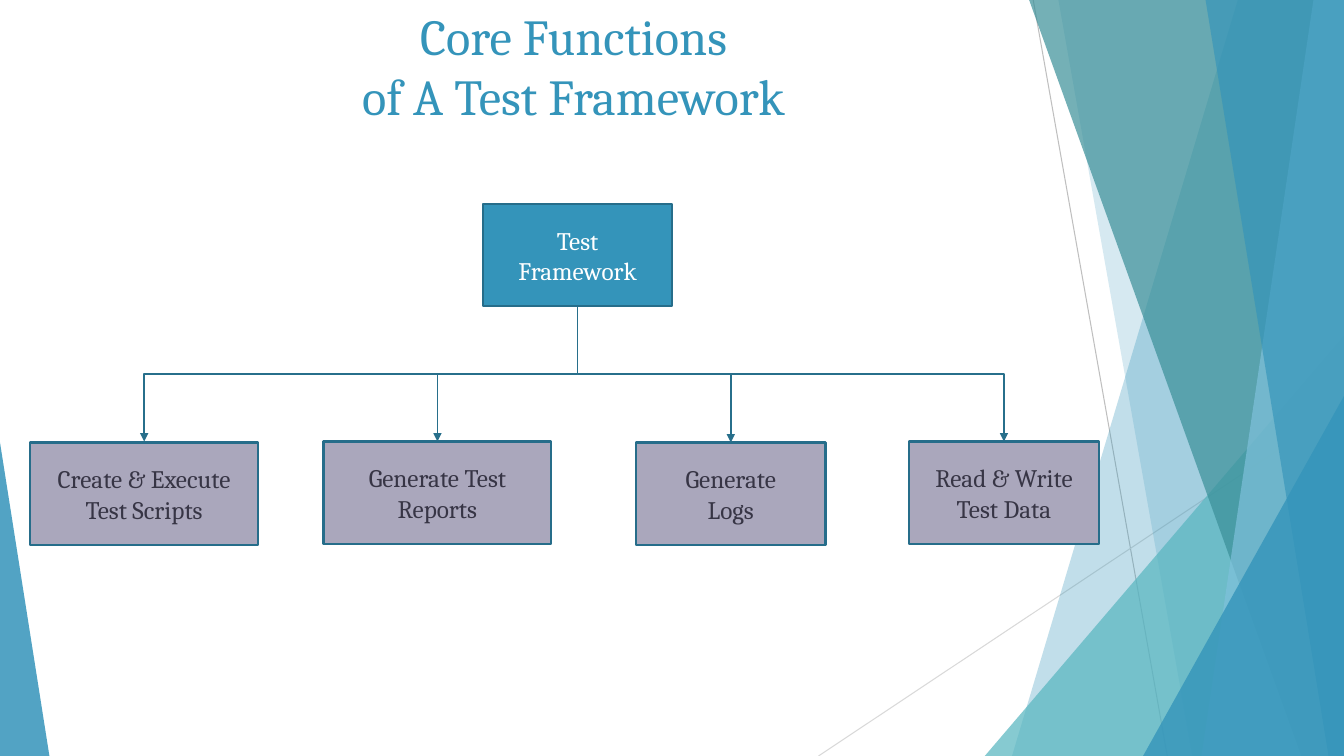
from dataclasses import dataclass

from lxml import etree
from pptx import Presentation
from pptx import util as u
from pptx.dml.color import RGBColor
from pptx.enum import shapes, text
from pptx.oxml.ns import qn


@dataclass(frozen=True)
class Theme:
    """Colours, type sizes and line widths of the slide."""
    font: str = "Cambria"
    accent: str = "3494BA"
    teal: str = "58B6C0"
    deep_teal: str = "3A8F98"
    pale_blue: str = "7FC1DB"
    leaf: str = "AAA7BC"
    ink: str = "373545"
    white: str = "FFFFFF"
    border: str = "266D8A"
    arrow: str = "276F8B"
    grey: str = "BFBFBF"
    pale_grey: str = "D9D9D9"
    title_size: int = 36
    body_size: int = 18
    border_width: float = 1.5
    arrow_width: float = 1
    hairline: float = 0.75


THEME = Theme()
CELL = u.Inches(0.1)
COLUMNS, ROWS = 133.33, 75


@dataclass(frozen=True)
class Box:
    """A region in grid columns and rows."""
    left: float
    top: float
    width: float
    height: float

    def point(self, column, row):
        """Return the slide position of a grid point inside the region."""
        return round((self.left + column) * CELL), round((self.top + row) * CELL)

    def area(self, column, row, width, height):
        """Return left, top, width and height of a part of the region."""
        return *self.point(column, row), round(width * CELL), round(height * CELL)


def paint(shape, colour, opacity=100):
    """Fill a shape, without shadow or outline."""
    shape.shadow.inherit = False
    shape.fill.solid()
    shape.fill.fore_color.rgb = RGBColor.from_string(colour)
    shape.line.fill.background()
    if opacity < 100:
        tint = shape.fill._xPr.find(f".//{qn('a:srgbClr')}")
        etree.SubElement(tint, qn("a:alpha"), val=str(opacity * 1000))


def write(frame, wording, size, colour):
    """Set centred text, one paragraph for each line of wording."""
    frame.word_wrap = True
    frame.text = wording
    for paragraph in frame.paragraphs:
        paragraph.alignment = text.PP_ALIGN.CENTER
        paragraph.font.name = THEME.font
        paragraph.font.size = u.Pt(size)
        paragraph.font.color.rgb = RGBColor.from_string(colour)


def draw_line(slide, start, end, colour, width, arrow=False,
              kind=shapes.MSO_CONNECTOR.STRAIGHT):
    """Draw a connector, with an arrowhead at its end if asked."""
    line = slide.shapes.add_connector(kind, *start, *end)
    line.line.color.rgb = RGBColor.from_string(colour)
    line.line.width = u.Pt(width)
    if arrow:
        etree.SubElement(line.line._get_or_add_ln(), qn("a:tailEnd"), type="triangle")
    etree.SubElement(line._element.spPr, qn("a:effectLst"))
    return line


def draw_branch(slide, start, end):
    """Draw an elbow arrow that leaves downwards, runs sideways and goes down."""
    (x1, y1), (x2, y2) = start, end
    drop, span = y2 - y1, abs(x2 - x1)
    left, top = (x1 + x2 - drop) // 2, (y1 + y2 - span) // 2
    near, far = (left, left + drop) if x2 < x1 else (left + drop, left)
    branch = draw_line(slide, (near, top), (far, top + span), THEME.arrow,
                       THEME.arrow_width, True, shapes.MSO_CONNECTOR.ELBOW)
    turn = 90 if x2 < x1 else 270
    branch._element.spPr.find(qn("a:xfrm")).set("rot", str(turn * 60000))


def draw_corner(slide, area, colour, opacity, apex):
    """Draw a right-angled triangle with its apex at a share of its width."""
    corner = slide.shapes.add_shape(shapes.MSO_SHAPE.ISOSCELES_TRIANGLE, *area)
    corner.adjustments[0] = apex
    paint(corner, colour, opacity)


def draw_facets(slide, box):
    """Draw the translucent facets and thin lines along the right edge."""
    draw_line(slide, box.point(21.3, 0), box.point(34.6, box.height),
              THEME.grey, THEME.hairline)
    draw_line(slide, box.point(box.width, 40.3), box.point(0, box.height),
              THEME.pale_grey, THEME.hairline)
    facets = [
        ("band", THEME.accent, 30, 41.6, 19.2),
        ("band", THEME.accent, 20, 23.8, 37.1),
        ("corner", THEME.teal, 72, 16.5, 33.3),
        ("band", THEME.deep_teal, 70, 20.9, 47.9),
        ("band", THEME.pale_blue, 70, 49.1, 38),
        ("band", THEME.accent, 65, 38.4, 50.6),
        ("corner", THEME.accent, 80, 32.2, 39.3),
    ]
    for kind, colour, opacity, first, second in facets:
        if kind == "corner":
            area = box.area(first, second, box.width - first, box.height - second)
            draw_corner(slide, area, colour, opacity, 1)
            continue
        outline = slide.shapes.build_freeform(*box.point(first, 0))
        outline.add_line_segments([box.point(box.width, 0),
                                   box.point(box.width, box.height),
                                   box.point(second, box.height)], close=True)
        paint(outline.convert_to_shape(), colour, opacity)


def draw_left_wedge(slide, box):
    """Draw the wedge at the lower left."""
    draw_corner(slide, box.area(0, 0, box.width, box.height), THEME.accent, 85, 0)


def draw_title(slide, box):
    """Write the slide title."""
    title = slide.shapes.add_textbox(*box.area(0, 0, box.width, box.height))
    write(title.text_frame, "Core Functions\vof A Test Framework",
          THEME.title_size, THEME.accent)


def draw_process(slide, area, wording, fill, ink):
    """Draw one bordered process box."""
    process = slide.shapes.add_shape(shapes.MSO_SHAPE.FLOWCHART_PROCESS, *area)
    paint(process, fill)
    process.line.color.rgb = RGBColor.from_string(THEME.border)
    process.line.width = u.Pt(THEME.border_width)
    process.text_frame.vertical_anchor = text.MSO_ANCHOR.MIDDLE
    write(process.text_frame, wording, THEME.body_size, ink)
    return process


def draw_hierarchy(slide, box):
    """Draw the framework, its four functions and the arrows between them."""
    height, narrow, wide = 10.2, 18.8, 22.6
    root_left, leaf_top = 44.9, 23.6
    bus = (height + leaf_top) / 2
    draw_process(slide, box.area(root_left, 0, narrow, height),
                 "Test\vFramework", THEME.accent, THEME.white)
    root_foot = box.point(root_left + narrow / 2, height)
    functions = [
        ("Create & Execute\nTest Scripts", 0, 0.1, wide, True),
        ("Generate Test Reports", 29.1, 0, wide, False),
        ("Generate\vLogs", 60.1, 0.1, narrow, False),
        ("Read & Write\vTest Data", 87.2, 0, narrow, True),
    ]
    for wording, left, drop, width, outer in functions:
        top, middle = leaf_top + drop, left + width / 2
        function = draw_process(slide, box.area(left, top, width, height),
                                wording, THEME.leaf, THEME.ink)
        head = box.point(middle, top)
        if outer:
            draw_branch(slide, root_foot, box.point(middle, leaf_top))
        else:
            arrow = draw_line(slide, box.point(middle, bus), head,
                              THEME.arrow, THEME.arrow_width, True)
            arrow.end_connect(function, 0)


def main():
    """Build and save the slide."""
    deck = Presentation()
    deck.slide_width, deck.slide_height = round(COLUMNS * CELL), ROWS * CELL
    slide = deck.slides.add_slide(deck.slide_layouts[6])
    draw_facets(slide, Box(81.2, 0, COLUMNS - 81.2, ROWS))
    draw_left_wedge(slide, Box(0, 43.9, 4.9, 31.1))
    draw_title(slide, Box(0, 0, 113.8, 13.4))
    draw_hierarchy(slide, Box(3, 20.2, 106, 33.9))
    deck.save("out.pptx")


if __name__ == "__main__":
    main()
